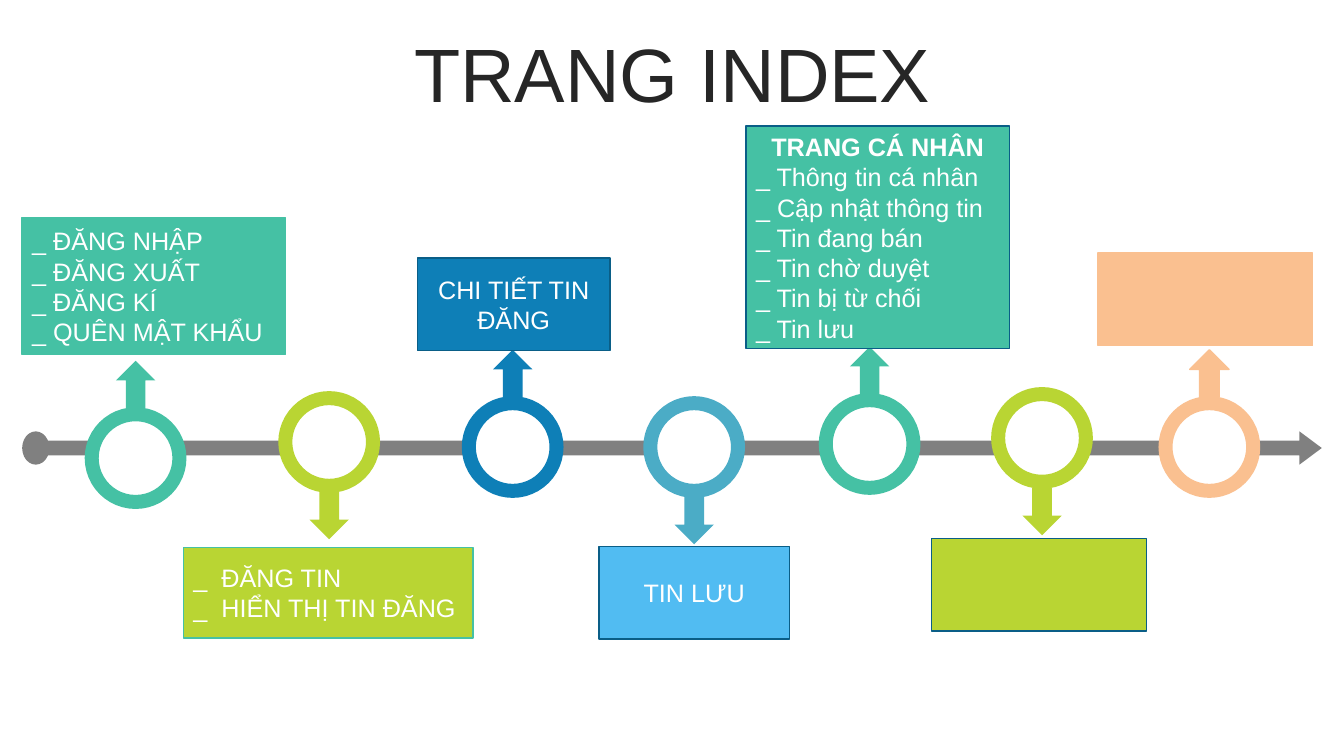
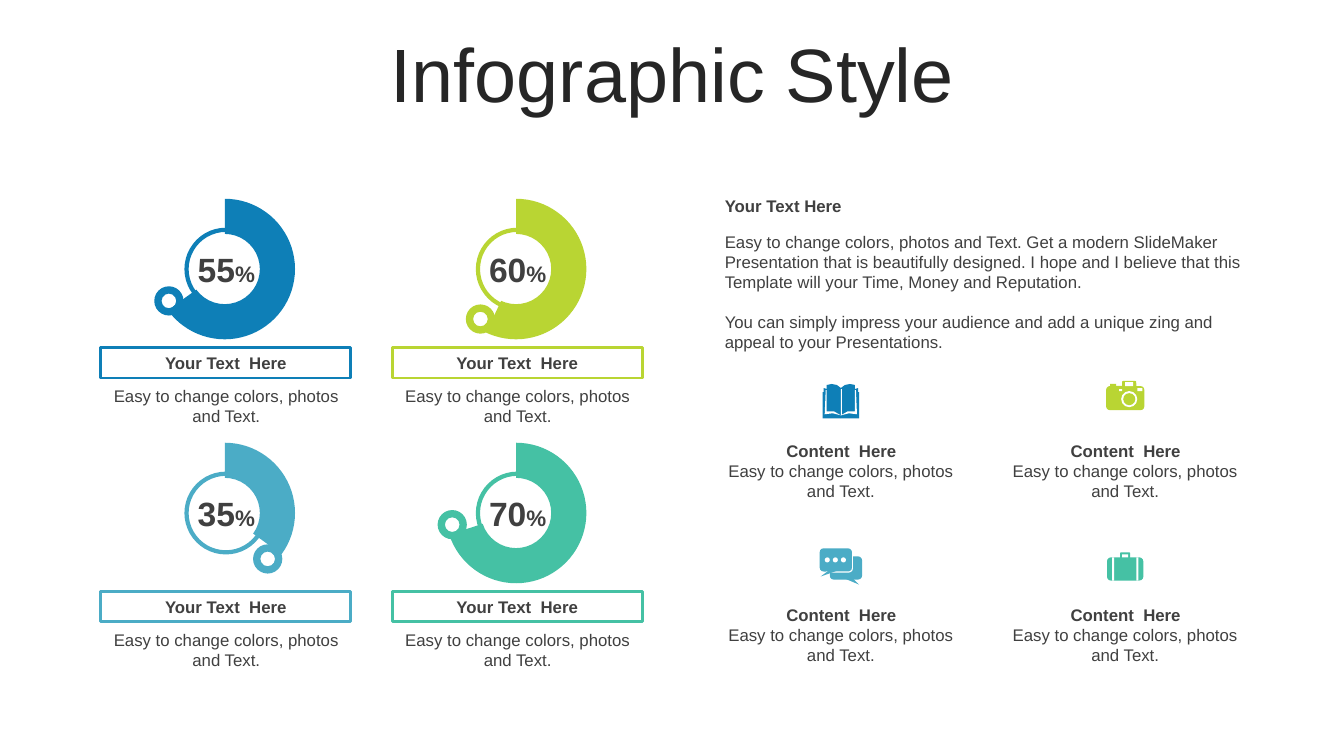
import pptx
import pptx.util
import pptx.chart.data
import pptx.dml.color
import pptx.enum.chart
import pptx.enum.shapes
import pptx.enum.text
import pptx.oxml

Inches = pptx.util.Inches
Pt = pptx.util.Pt
RGB = pptx.dml.color.RGBColor.from_string
SHAPE = pptx.enum.shapes.MSO_SHAPE
ALIGN = pptx.enum.text.PP_ALIGN
ANCHOR = pptx.enum.text.MSO_ANCHOR

COLORS = {
    "teal": "45C1A4", "lime": "B9D533", "blue": "0E7FB7", "cyan": "4BACC6",
    "sky": "51BCF2", "peach": "FAC090", "navy": "0A5E87", "gray": "808080",
    "white": "FFFFFF", "title": "262626", "text": "404040",
}
FONT = "Arial"


def add_shape(s, kind, x, y, w, h, fill=None, line=None, width=1):
    sp = s.shapes.add_shape(kind, Inches(x), Inches(y), Inches(w), Inches(h))
    sp.shadow.inherit = False
    if fill:
        sp.fill.solid()
        sp.fill.fore_color.rgb = RGB(COLORS[fill])
    else:
        sp.fill.background()
    if line:
        sp.line.color.rgb = RGB(COLORS[line])
        sp.line.width = Pt(width)
    else:
        sp.line.fill.background()
    return sp


def write(sp, text, size, color, bold=False, align=ALIGN.CENTER, anchor=ANCHOR.TOP):
    tf = sp.text_frame
    tf.word_wrap = True
    tf.vertical_anchor = anchor
    tf.text = text
    for p in tf.paragraphs:
        p.alignment = align
        for r in p.runs:
            r.font.name = FONT
            r.font.size = Pt(size)
            r.font.bold = bold
            r.font.color.rgb = RGB(COLORS[color])
    return tf


prs = pptx.Presentation()
prs.slide_width = Inches(13.33)
prs.slide_height = Inches(7.5)

slides = []
for title in ["TRANG INDEX", "Infographic Style"]:
    s = prs.slides.add_slide(prs.slide_layouts[5])
    sp = s.shapes.title
    sp.left, sp.top, sp.width, sp.height = [Inches(v) for v in (0.34, 0.38, 12.66, 0.79)]
    tf = write(sp, title, 54, "title", anchor=ANCHOR.MIDDLE)
    tf.auto_size = pptx.enum.text.MSO_AUTO_SIZE.NONE
    tf.paragraphs[0].line_spacing = 0.9
    tf.paragraphs[0].space_before = Pt(10)
    slides.append(s)
timeline, infographic = slides

s = timeline
axis = add_shape(s, SHAPE.RIGHT_ARROW, 0.45, 4.28, 12.66, 0.33, "gray")
axis.adjustments[0] = 0.45
axis.adjustments[1] = 0.67
add_shape(s, SHAPE.OVAL, 0.22, 4.28, 0.27, 0.33, "gray")

stations = [
    (0.91, 4.11, "teal", "up"), (2.83, 3.95, "lime", "down"), (4.65, 4, "blue", "up"),
    (6.45, 4, "cyan", "down"), (8.19, 3.97, "teal", "up"), (9.9, 3.91, "lime", "down"),
    (11.56, 4, "peach", "up"),
]
for x, y, color, direction in stations:
    add_shape(s, SHAPE.OVAL, x, y, 0.87, 0.87, "white", color, 10)
    if direction == "up":
        kind, arrow_y = SHAPE.UP_ARROW, y - 0.53
    else:
        kind, arrow_y = SHAPE.DOWN_ARROW, y + 0.93
    add_shape(s, kind, x + 0.24, arrow_y, 0.39, 0.47, color,
              "peach" if color == "peach" else None)

boxes = [
    (0.22, 2.16, 2.61, 1.36, "teal", "teal", ALIGN.LEFT,
     ["_ ĐĂNG NHẬP", "_ ĐĂNG XUẤT", "_ ĐĂNG KÍ", "_ QUÊN MẬT KHẨU"]),
    (1.82, 5.43, 2.87, 0.9, "lime", "teal", ALIGN.LEFT,
     ["_  ĐĂNG TIN", "_  HIỂN THỊ TIN ĐĂNG"]),
    (4.14, 2.56, 1.91, 0.92, "blue", "navy", ALIGN.CENTER, ["CHI TIẾT TIN ĐĂNG"]),
    (5.94, 5.42, 1.89, 0.92, "sky", "navy", ALIGN.CENTER, ["TIN LƯU"]),
    (7.4, 1.25, 2.61, 2.21, "teal", "navy", ALIGN.LEFT,
     ["TRANG CÁ NHÂN", "_ Thông tin cá nhân", "_ Cập nhật thông tin", "_ Tin đang bán",
      "_ Tin chờ duyệt", "_ Tin bị từ chối", "_ Tin lưu"]),
    (9.24, 5.34, 2.13, 0.92, "lime", "navy", ALIGN.LEFT, []),
    (10.89, 2.51, 2.13, 0.92, "peach", "peach", ALIGN.LEFT, []),
]
for x, y, w, h, fill, line, align, lines in boxes:
    sp = add_shape(s, SHAPE.RECTANGLE, x, y, w, h, fill, line)
    if lines:
        tf = write(sp, "\n".join(lines), 18, "white", align=align, anchor=ANCHOR.MIDDLE)
        if lines[0] == "TRANG CÁ NHÂN":
            tf.paragraphs[0].alignment = ALIGN.CENTER
            tf.paragraphs[0].runs[0].font.bold = True

s = infographic
PLOT_LAYOUT = (
    '<c:layout xmlns:c="http://schemas.openxmlformats.org/drawingml/2006/chart">'
    '<c:manualLayout><c:layoutTarget val="inner"/><c:xMode val="edge"/><c:yMode val="edge"/>'
    '<c:x val="0.04"/><c:y val="0"/><c:w val="0.9"/><c:h val="1"/>'
    '</c:manualLayout></c:layout>'
)
EASY = "Easy to change colors, photos and Text."
gauges = [
    ("blue", "55", 65, 1.53, 2.84), ("lime", "60", 57, 4.62, 3.02),
    ("cyan", "35", 35, 2.51, 5.4), ("teal", "70", 70, 4.34, 5.06),
]
for i, (color, label, value, bead_x, bead_y) in enumerate(gauges):
    dx = i % 2 * 2.89
    dy = i // 2 * 2.42
    data = pptx.chart.data.CategoryChartData()
    data.categories = ["1", "2"]
    data.add_series("Series 1", [value, 100 - value])
    chart = s.shapes.add_chart(
        pptx.enum.chart.XL_CHART_TYPE.DOUGHNUT, Inches(1.47 + dx), Inches(1.97 + dy),
        Inches(1.55), Inches(1.4), data).chart
    chart.has_legend = False
    chart.has_title = False
    chart.font.name = FONT
    chart.font.size = Pt(18)
    plot = chart.plots[0]
    plot.vary_by_categories = False
    points = plot.series[0].points
    points[0].format.fill.solid()
    points[0].format.fill.fore_color.rgb = RGB(COLORS[color])
    points[1].format.fill.background()
    for n in range(2):
        points[n].format.line.fill.background()
    area = chart.element.xpath("c:chart/c:plotArea")[0]
    for old in area.xpath("c:layout"):
        area.remove(old)
    area.insert(0, pptx.oxml.parse_xml(PLOT_LAYOUT))
    area.xpath("c:doughnutChart/c:holeSize")[0].set("val", "80")

    add_shape(s, SHAPE.OVAL, 1.85 + dx, 2.28 + dy, 0.78, 0.78, None, color, 3)
    add_shape(s, SHAPE.DONUT, bead_x, bead_y, 0.29, 0.29, color)
    tb = s.shapes.add_textbox(Inches(1.82 + dx), Inches(2.42 + dy), Inches(0.85), Inches(0.5))
    p = write(tb, label, 24, "text", True, anchor=ANCHOR.MIDDLE).paragraphs[0]
    r = p.add_run()
    r.text = "%"
    r.font.name = FONT
    r.font.size = Pt(16)
    r.font.bold = True
    r.font.color.rgb = RGB(COLORS["text"])
    sp = add_shape(s, SHAPE.RECTANGLE, 1 + dx, 3.45 + dy, 2.48, 0.3, None, color, 2)
    write(sp, "Your Text  Here", 12, "text", True)
    tb = s.shapes.add_textbox(Inches(1.03 + dx), Inches(3.78 + dy), Inches(2.43), Inches(0.5))
    write(tb, EASY, 12, "text")

tb = s.shapes.add_textbox(Inches(7.09), Inches(1.89), Inches(5.33), Inches(0.3))
write(tb, "Your Text Here", 12, "text", True, ALIGN.LEFT)
tb = s.shapes.add_textbox(Inches(7.09), Inches(2.25), Inches(5.33), Inches(1.31))
intro = [
    "Easy to change colors, photos and Text. Get a modern SlideMaker Presentation that is "
    "beautifully designed. I hope and I believe that this Template will your Time, Money "
    "and Reputation.",
    "You can simply impress your audience and add a unique zing and appeal to your "
    "Presentations.",
]
tf = write(tb, "\n".join(intro), 12, "text", align=ALIGN.LEFT)
tf.paragraphs[1].space_before = Pt(14)

for i in range(4):
    x = 7.09 + i % 2 * 2.82
    y = 4.32 + i // 2 * 1.63
    tb = s.shapes.add_textbox(Inches(x), Inches(y), Inches(2.51), Inches(0.3))
    write(tb, "Content  Here", 12, "text", True)
    tb = s.shapes.add_textbox(Inches(x + 0.01), Inches(y + 0.2), Inches(2.48), Inches(0.5))
    write(tb, EASY, 12, "text")

camera = [
    (SHAPE.ROUNDED_RECTANGLE, 10.97, 3.83, 0.38, 0.24, "lime"),
    (SHAPE.RECTANGLE, 11.01, 3.81, 0.06, 0.03, "lime"),
    (SHAPE.ROUNDED_RECTANGLE, 11.13, 3.78, 0.14, 0.06, "lime"),
    (SHAPE.RECTANGLE, 11.16, 3.79, 0.08, 0.04, "white"),
    (SHAPE.RECTANGLE, 11.1, 3.86, 0.03, 0.02, "white"),
    (SHAPE.RECTANGLE, 11.28, 3.85, 0.05, 0.03, "white"),
    (SHAPE.OVAL, 11.12, 3.88, 0.16, 0.16, "white"),
    (SHAPE.OVAL, 11.14, 3.9, 0.12, 0.12, "lime"),
]
chat = [
    (SHAPE.ROUNDED_RECTANGLE, 8.23, 5.52, 0.32, 0.23, "cyan"),
    (SHAPE.ROUNDED_RECTANGLE, 8.13, 5.44, 0.33, 0.24, "white"),
    (SHAPE.ROUNDED_RECTANGLE, 8.13, 5.44, 0.32, 0.23, "cyan"),
] + [(SHAPE.OVAL, 8.18 + n * 0.08, 5.53, 0.05, 0.05, "white") for n in range(3)]
briefcase = [
    (SHAPE.ROUNDED_RECTANGLE, 10.98, 5.53, 0.36, 0.23, "teal"),
    (SHAPE.RECTANGLE, 11.03, 5.53, 0.02, 0.23, "white"),
    (SHAPE.RECTANGLE, 11.27, 5.53, 0.02, 0.23, "white"),
    (SHAPE.ROUNDED_RECTANGLE, 11.11, 5.48, 0.1, 0.06, "teal"),
    (SHAPE.RECTANGLE, 11.13, 5.5, 0.06, 0.03, "white"),
]
for part in camera + chat + briefcase:
    add_shape(s, *part)

page = [(0, 4), (4, 1), (9, 0), (14, 1), (14, 5), (17, 4), (17, 8), (18, 8), (18, 34), (0, 34)]
page_edge = [(14, 6), (15, 6), (16, 30), (8, 29), (0, 31), (7, 27), (14, 27)]
outlines = [
    ("cyan", [(838, 574), (846, 574), (852, 580)]),
    ("cyan", [(822, 666 - 100), (831, 566), (814, 572)]),
]
for color, half in [("blue", page), ("white", page_edge)]:
    for side in (-1, 1):
        outlines.append((color, [(834 + side * x, 381 + y) for x, y in half]))
for color, pts in outlines:
    fb = s.shapes.build_freeform(*pts[0], scale=Inches(0.01))
    fb.add_line_segments(pts[1:], close=True)
    sp = fb.convert_to_shape()
    sp.shadow.inherit = False
    sp.fill.solid()
    sp.fill.fore_color.rgb = RGB(COLORS[color])
    sp.line.fill.background()
add_shape(s, SHAPE.RECTANGLE, 8.34, 3.86, 0.01, 0.26, "white")

prs.save("out.pptx")
